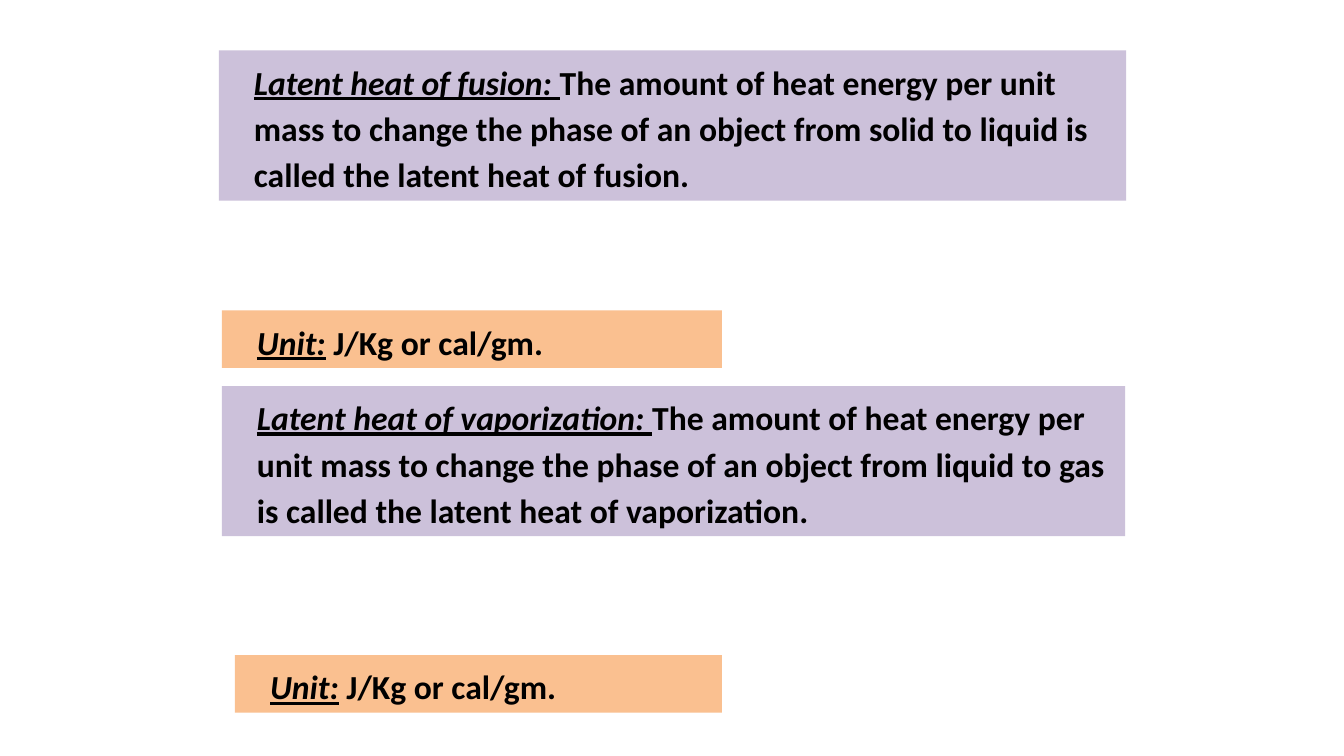
from pptx import Presentation
from pptx.dml.color import RGBColor
from pptx.enum.text import MSO_ANCHOR, MSO_AUTO_SIZE
from pptx.util import Pt

PX = 9144  # EMU per px, 100 px to the inch
TOP = MSO_ANCHOR.TOP
GROW = MSO_AUTO_SIZE.SHAPE_TO_FIT_TEXT

BLACK = RGBColor(0x00, 0x00, 0x00)
LILAC = RGBColor(0xCC, 0xC1, 0xDA)
PEACH = RGBColor(0xFA, 0xC0, 0x90)

FRAME = {"word_wrap": True, "auto_size": GROW, "vertical_anchor": TOP}
SPACING = {"line_spacing": 1.15, "space_after": Pt(10)}
BODY = {"name": "Calibri", "size": Pt(24), "bold": True}
TERM = {**BODY, "italic": True, "underline": True}


def apply(target, values):
    for name, value in values.items():
        setattr(target, name, value)


def add_span(para, text, style):
    span = para.add_run()
    span.text = text
    apply(span.font, style)
    span.font.color.rgb = BLACK


def add_panel(page, place, fill, term, text):
    """Add a filled text box that opens with an underlined term."""
    box = page.shapes.add_textbox(*(length * PX for length in place))
    box.fill.solid()
    box.fill.fore_color.rgb = fill
    apply(box.text_frame, FRAME)
    para = box.text_frame.paragraphs[0]
    apply(para, SPACING)
    para._p.get_or_add_pPr().set("marL", str(25 * PX))
    add_span(para, term, TERM)
    add_span(para, text, BODY)


def add_definition(page, place, process, change):
    add_panel(page, place, LILAC, f"Latent heat of {process}: ",
              "The amount of heat energy per unit mass to change the phase of an object "
              f"from {change} is called the latent heat of {process}.")


def add_unit(page, place):
    add_panel(page, place, PEACH, "Unit:", " J/Kg or cal/gm.")


def main():
    deck = Presentation()
    deck.slide_width, deck.slide_height = 1333 * PX, 750 * PX
    page = deck.slides.add_slide(deck.slide_layouts[6])
    add_definition(page, (217, 50, 900, 149), "fusion", "solid to liquid")
    add_unit(page, (220, 308, 496, 57))
    add_definition(page, (220, 383, 896, 149), "vaporization", "liquid to gas")
    add_unit(page, (233, 650, 483, 57))
    deck.save("out.pptx")


if __name__ == "__main__":
    main()
